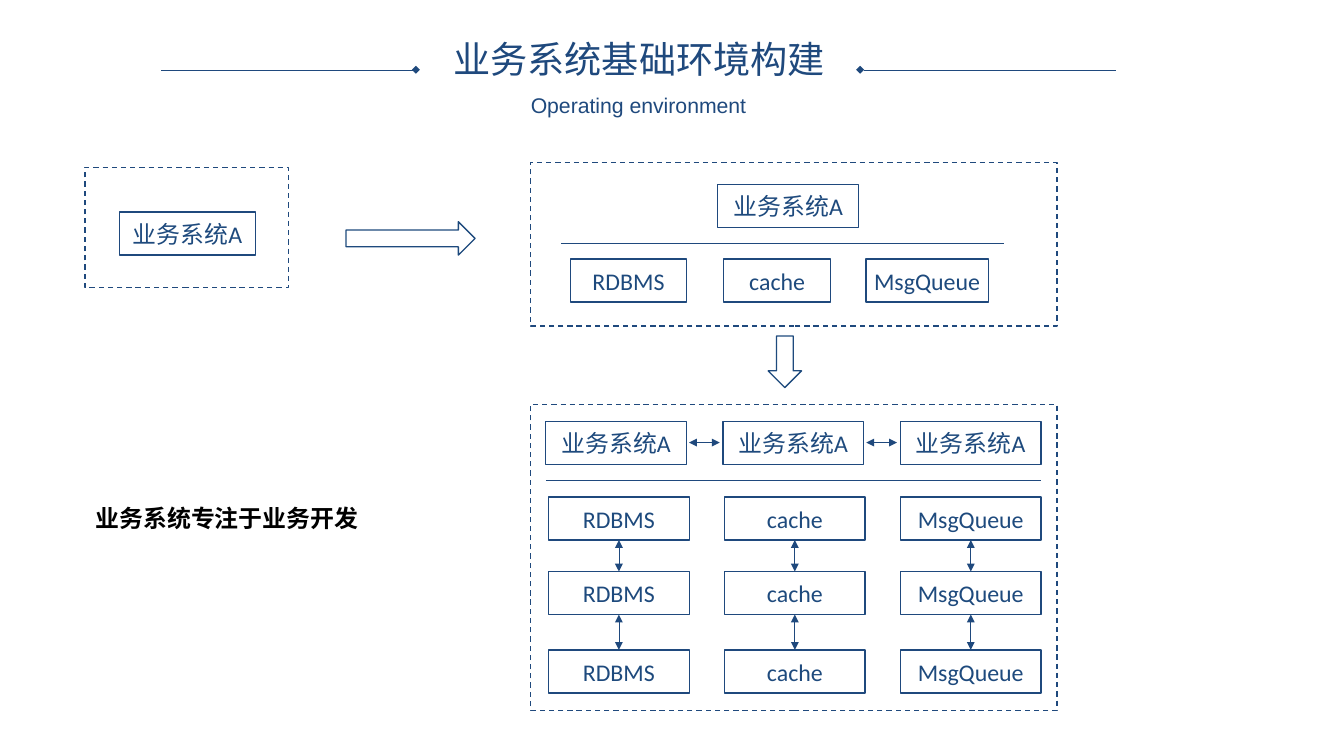
from typing import NamedTuple

from lxml.etree import SubElement
from pptx import Presentation
from pptx.dml.color import RGBColor
from pptx.enum.dml import MSO_LINE as Dash
from pptx.enum.shapes import MSO_CONNECTOR as Connector, MSO_SHAPE as Preset
from pptx.enum.text import MSO_ANCHOR as Anchor, MSO_AUTO_SIZE as AutoSize, PP_ALIGN as Align
from pptx.oxml.ns import qn
from pptx.util import Inches, Pt

COLORS = {"line": "1F497D", "label": "1E4A7D", "note": "000000"}
WIDTH, HEIGHT = Inches(14.06), Inches(7.91)
COL, ROW = WIDTH / 100, HEIGHT / 100

APP = "业务系统A"
SERVICES = ["RDBMS", "cache", "MsgQueue"]
NODE_W, NODE_H = 10.46, 5.69


class Box(NamedTuple):
    left: float
    top: float
    width: float
    height: float

    def place(self, dx, dy, width, height):
        return Box(self.left + dx, self.top + dy, width, height)

    def emu(self):
        return (round(self.left * COL), round(self.top * ROW),
                round(self.width * COL), round(self.height * ROW))


def color(name):
    return RGBColor.from_string(COLORS[name])


def style_text(frame, text, size, font, ink, align=Align.CENTER, bold=False):
    frame.text = text
    paragraph = frame.paragraphs[0]
    paragraph.alignment = align
    letters = paragraph.runs[0].font
    letters.size, letters.name, letters.bold = Pt(size), font, bold
    letters.color.rgb = color(ink)


def outline(slide, preset, box, ink="line", dashed=False):
    shape = slide.shapes.add_shape(preset, *box.emu())
    shape.shadow.inherit = False
    shape.fill.background()
    shape.line.color.rgb = color(ink)
    shape.line.width = Pt(1)
    if dashed:
        shape.line.dash_style = Dash.DASH
    return shape


def node(slide, box, text):
    frame = outline(slide, Preset.RECTANGLE, box).text_frame
    frame.vertical_anchor = Anchor.MIDDLE
    frame.word_wrap = False
    style_text(frame, text, 18, "Calibri", "label")


def rule(slide, x1, y1, x2, y2, width=0.5, head=None, tail=None):
    line = slide.shapes.add_connector(
        Connector.STRAIGHT, round(x1 * COL), round(y1 * ROW), round(x2 * COL), round(y2 * ROW))
    line.line.color.rgb = color("line")
    line.line.width = Pt(width)
    stroke = line.get_or_add_ln()
    for tag, kind in (("a:headEnd", head), ("a:tailEnd", tail)):
        if kind:
            SubElement(stroke, qn(tag)).set("type", kind)
    SubElement(line.element.spPr, qn("a:effectLst"))


def link(slide, x1, y1, x2, y2):
    rule(slide, x1, y1, x2, y2, head="triangle", tail="triangle")


def header(slide, box):
    title, subtitle = slide.placeholders
    for holder, text, size, area in (
        (title, "业务系统基础环境构建", 28, box.place(13.8, 0, 43.6, 5.94)),
        (subtitle, "Operating environment", 16, box.place(22.12, 5.95, 26.88, 5.94)),
    ):
        holder.left, holder.top, holder.width, holder.height = area.emu()
        frame = holder.text_frame
        frame.auto_size = AutoSize.NONE
        frame.vertical_anchor = Anchor.MIDDLE
        style_text(frame, text, size, "Arial", "line")
        frame.paragraphs[0].line_spacing = 0.9
        frame.paragraphs[0].space_before = Pt(10)
    right, y = box.left + box.width, box.top + 4.05
    for inner, outer in ((box.left + 19, box.left), (right - 19, right)):
        rule(slide, inner, y, outer, y, width=0.25, head="diamond")


def single_app(slide, box):
    outline(slide, Preset.RECTANGLE, box, dashed=True)
    node(slide, box.place(2.56, 5.94, 10.1, NODE_H), APP)


def app_with_services(slide, box):
    outline(slide, Preset.RECTANGLE, box, dashed=True)
    node(slide, box.place(13.94, 2.91, NODE_W, NODE_H), APP)
    y = box.top + 10.75
    rule(slide, box.left + 2.28, y, box.left + 35.21, y)
    for service, dx, width in zip(SERVICES, (2.99, 14.37, 24.96), (8.61, 7.97, 9.1)):
        node(slide, box.place(dx, 12.77, width, NODE_H), service)


def cluster(slide, box):
    outline(slide, Preset.RECTANGLE, box, dashed=True)
    apps = [box.place(1.14 + 13.19 * i, 2.28, NODE_W, NODE_H) for i in range(3)]
    for app in apps:
        node(slide, app, APP)
    y = box.top + 5.06
    for app, following in zip(apps, apps[1:]):
        link(slide, app.left + NODE_W + 0.2, y, following.left - 0.25, y)
    y = box.top + 9.99
    rule(slide, box.left + 1.14, y, box.left + 37.98, y)
    for i, service in enumerate(SERVICES):
        replicas = [box.place(1.35 + 13.09 * i, dy, NODE_W, NODE_H)
                    for dy in (12.26, 22.12, 32.49)]
        for replica in replicas:
            node(slide, replica, service)
        for upper, lower in zip(replicas, replicas[1:]):
            x = upper.left + NODE_W / 2
            link(slide, x, lower.top, x, upper.top + NODE_H)


def focus_note(slide, box):
    frame = slide.shapes.add_textbox(*box.emu()).text_frame
    frame.word_wrap = False
    frame.auto_size = AutoSize.SHAPE_TO_FIT_TEXT
    style_text(frame, "业务系统专注于业务开发", 18, "Calibri", "note", Align.LEFT, True)


def main():
    deck = Presentation()
    deck.slide_width, deck.slide_height = WIDTH, HEIGHT
    slide = deck.slides.add_slide(deck.slide_layouts[0])
    header(slide, Box(11.95, 5.18, 71.05, 11.89))
    single_app(slide, Box(6.33, 22.12, 15.15, 15.93))
    outline(slide, Preset.RIGHT_ARROW, Box(25.75, 29.33, 9.6, 4.42), "label")
    app_with_services(slide, Box(39.47, 21.49, 39.19, 21.62))
    outline(slide, Preset.DOWN_ARROW, Box(57.15, 44.44, 2.49, 6.83), "label")
    cluster(slide, Box(39.47, 53.48, 39.19, 40.46))
    focus_note(slide, Box(6.4, 65.99, 21.19, 5.06))
    deck.save("out.pptx")


if __name__ == "__main__":
    main()
